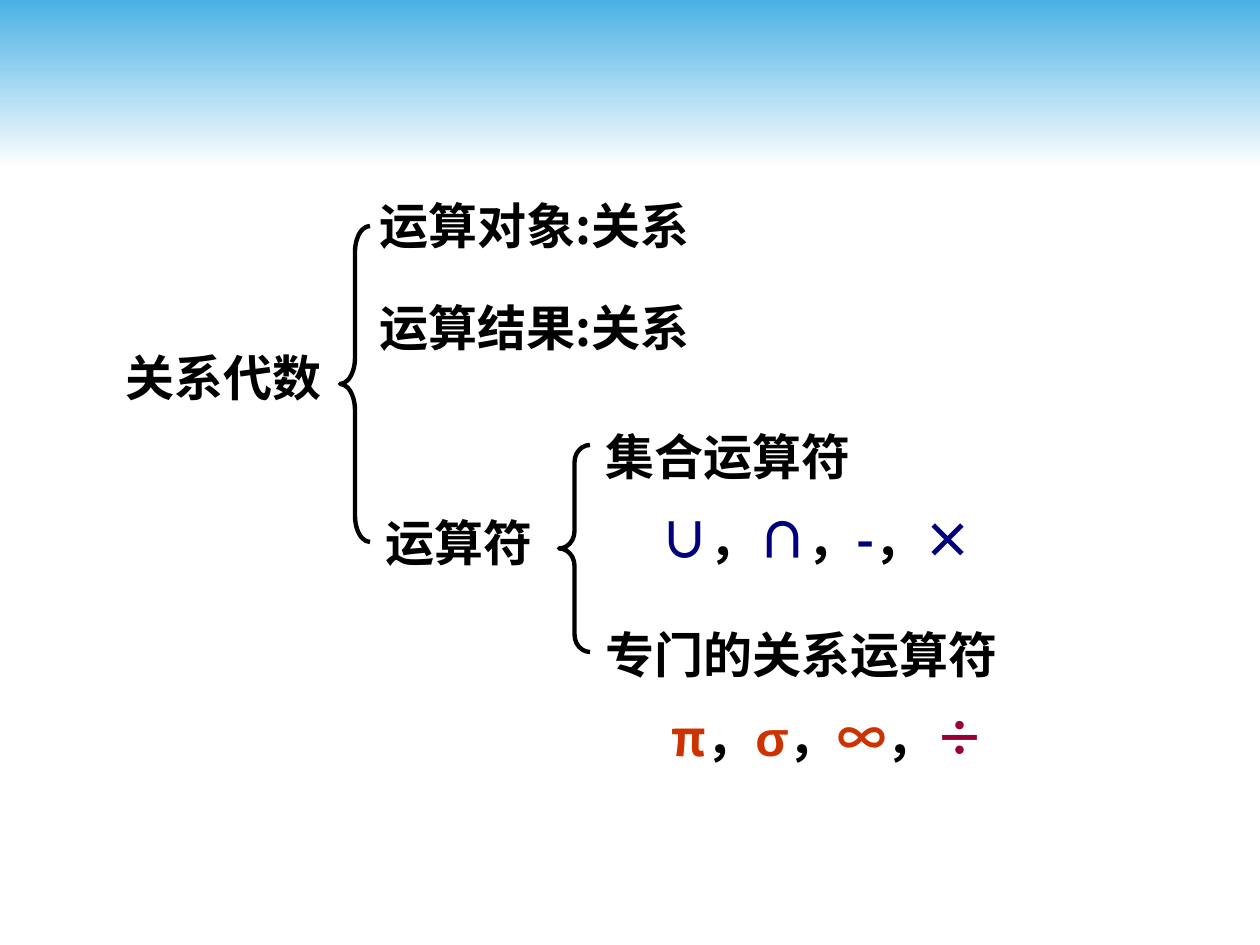
from lxml import etree
from pptx import Presentation
from pptx.dml.color import RGBColor
from pptx.enum.shapes import MSO_SHAPE
from pptx.enum.text import PP_ALIGN
from pptx.oxml.ns import qn
from pptx.util import Emu, Pt

RECTANGLE, LEFT_BRACE = MSO_SHAPE.RECTANGLE, MSO_SHAPE.LEFT_BRACE
CENTER, JUSTIFY = PP_ALIGN.CENTER, PP_ALIGN.JUSTIFY
PX = 914400 // 126
FONT, SYMBOL_FONT = "Noto Sans CJK SC", "Arial"
COLORS = {
    "sky": "4AB1E4", "white": "FFFFFF", "black": "000000",
    "navy": "00007D", "orange": "CC3300", "crimson": "990033",
}

BANNER = (0, 0, 1260, 168)
# left, top, width, height, curve radius as a share of the width
BRACES = [(340, 226, 30, 316, 0.87), (559, 445, 31, 207, 0.56)]
# text, box, alignment
LABELS = [
    ("关系代数", (117, 348, 213, 68), CENTER),
    ("运算对象:关系", (380, 195, 527, 71), JUSTIFY),
    ("运算结果:关系", (380, 297, 496, 69), JUSTIFY),
    ("运算符", (386, 513, 155, 74), JUSTIFY),
]
# heading, box, indent of the symbols, (symbol, colour, font)
OPERATOR_GROUPS = [
    ("集合运算符", (606, 415, 570, 147), 55, [
        ("∪", "navy", FONT), ("∩", "navy", FONT),
        ("-", "navy", FONT), ("×", "navy", FONT)]),
    ("专门的关系运算符", (606, 613, 541, 156), 66, [
        ("π", "orange", FONT), ("σ", "orange", SYMBOL_FONT),
        ("∞", "orange", SYMBOL_FONT), ("÷", "crimson", FONT)]),
]


def scaled(box):
    return [Emu(length * PX) for length in box]


def rgb(name):
    return RGBColor.from_string(COLORS[name])


def add_banner(page):
    banner = page.shapes.add_shape(RECTANGLE, *scaled(BANNER))
    banner.shadow.inherit = False
    banner.line.fill.background()
    banner.fill.gradient()
    banner.fill.gradient_angle = 270
    for stop, name in zip(banner.fill.gradient_stops, ("sky", "white")):
        stop.color.rgb = rgb(name)


def add_brace(page, box, radius):
    brace = page.shapes.add_shape(LEFT_BRACE, *scaled(box))
    brace.shadow.inherit = False
    brace.fill.background()
    brace.line.color.rgb = rgb("black")
    brace.line.width = Pt(2.5)
    brace.adjustments[0] = radius


def add_text_frame(page, box):
    frame = page.shapes.add_textbox(*scaled(box)).text_frame
    frame.word_wrap = True
    frame.margin_left = frame.margin_right = 0
    frame.margin_top = frame.margin_bottom = 0
    return frame


def style(para, align):
    para.alignment = align
    para.font.size = Pt(28)
    para.font.bold = True
    para.font.name = FONT
    para.font.color.rgb = rgb("black")
    defaults = para._p.pPr.find(qn("a:defRPr"))
    east_asian = etree.SubElement(defaults, qn("a:ea"))
    east_asian.set("typeface", FONT)


def add_span(para, text, color, font):
    span = para.add_run()
    span.text = text
    span.font.color.rgb = rgb(color)
    if font != FONT:
        span.font.name = font


def add_operator_group(page, heading, box, indent, symbols):
    frame = add_text_frame(page, box)
    title = frame.paragraphs[0]
    title.text = heading
    row = frame.add_paragraph()
    row.space_before = Pt(7)
    for index, (symbol, color, font) in enumerate(symbols):
        if index:
            add_span(row, "，", "black", FONT)
        add_span(row, symbol, color, font)
    for para in (title, row):
        para.line_spacing = 1.2
        style(para, JUSTIFY)
    row._p.pPr.set("marL", str(indent * PX))
    row._p.pPr.set("indent", "0")


def main():
    deck = Presentation()
    deck.slide_width, deck.slide_height = scaled((1260, 945))
    page = deck.slides.add_slide(deck.slide_layouts[6])
    add_banner(page)
    for *box, radius in BRACES:
        add_brace(page, box, radius)
    for text, box, align in LABELS:
        para = add_text_frame(page, box).paragraphs[0]
        para.text = text
        style(para, align)
    for group in OPERATOR_GROUPS:
        add_operator_group(page, *group)
    deck.save("out.pptx")


if __name__ == "__main__":
    main()
